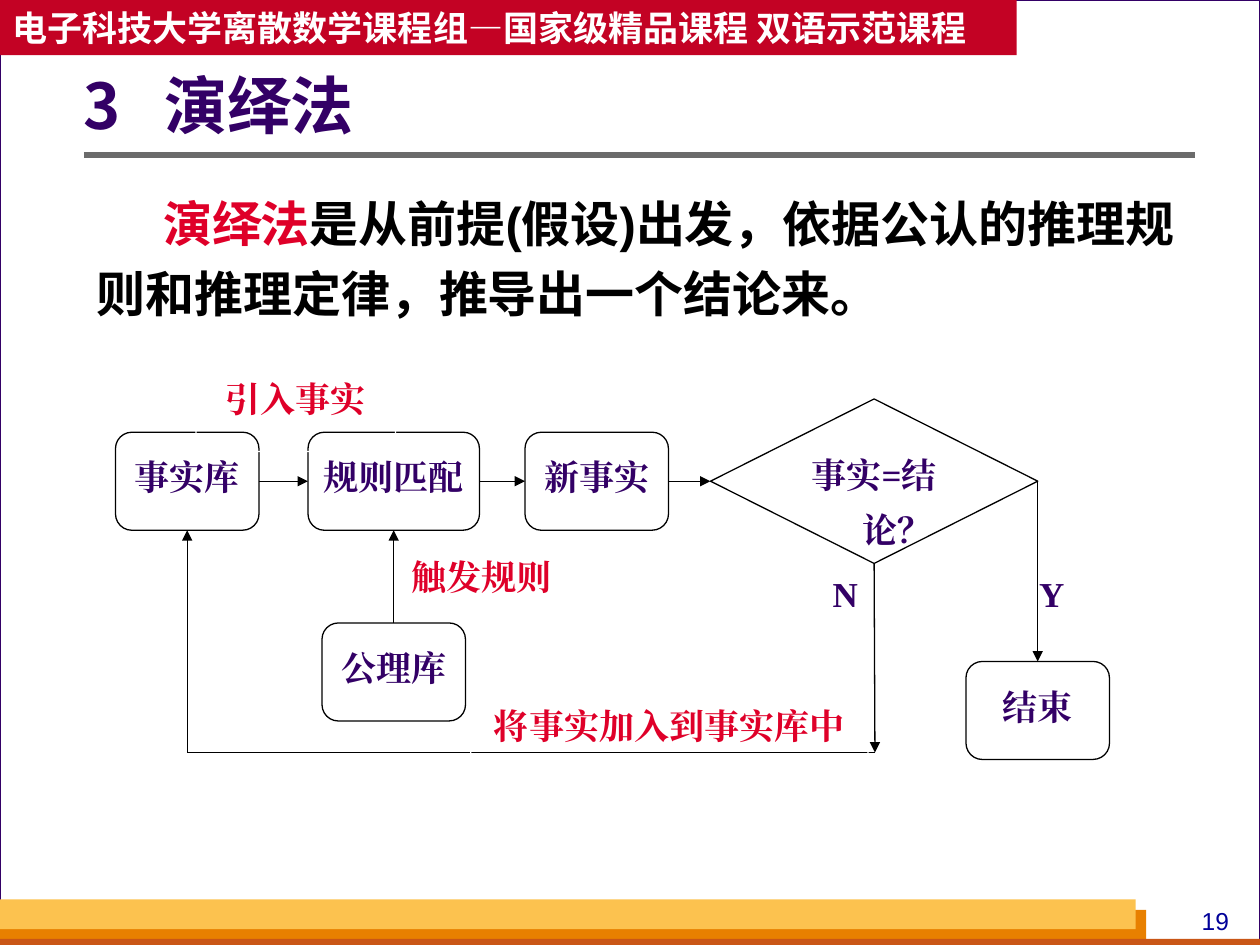
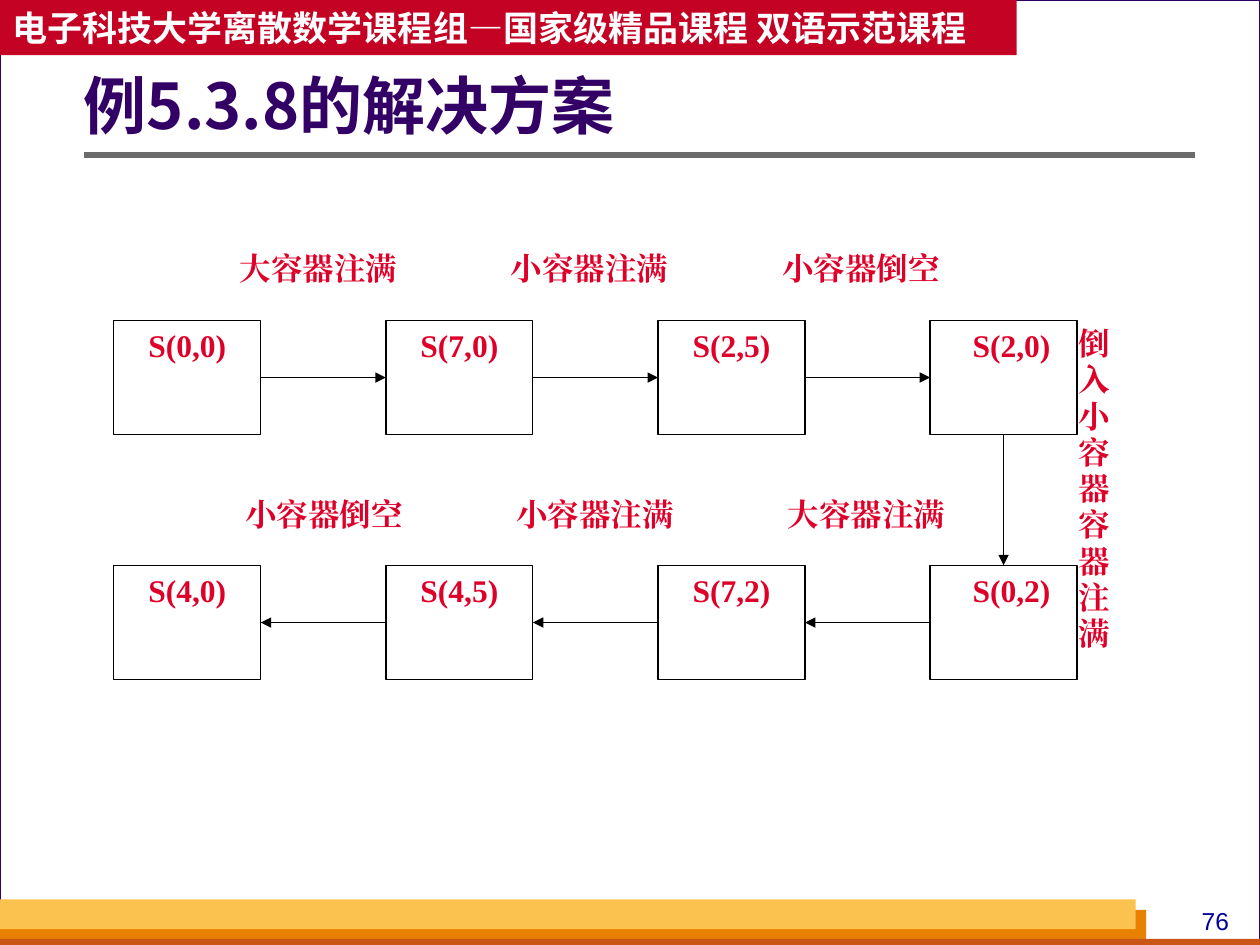
import pptx
import pptx.dml.color
import pptx.enum.shapes
import pptx.enum.text
import pptx.oxml.ns
import pptx.util
from lxml import etree

Pt = pptx.util.Pt
RGBColor = pptx.dml.color.RGBColor
Shape = pptx.enum.shapes.MSO_SHAPE
Anchor = pptx.enum.text.MSO_ANCHOR
Align = pptx.enum.text.PP_ALIGN
qn = pptx.oxml.ns.qn

WHITE = RGBColor(0xFF, 0xFF, 0xFF)
BLACK = RGBColor(0x00, 0x00, 0x00)
PURPLE = RGBColor(0x33, 0x00, 0x66)
RED = RGBColor(0xDF, 0x00, 0x29)
BANNER_RED = RGBColor(0xC3, 0x02, 0x24)
ORANGE = RGBColor(0xE8, 0x80, 0x00)
RUST = RGBColor(0xC9, 0x56, 0x16)
AMBER = RGBColor(0xFC, 0xC2, 0x4F)
GRAY = RGBColor(0x6B, 0x6B, 0x6B)
NAVY = RGBColor(0x00, 0x00, 0x99)
BACKGROUND = RGBColor(0xD8, 0xDA, 0xDA)

SANS = "Noto Sans CJK SC"
SERIF = "Times New Roman"
ARIAL = "Arial"
BANNER = "电子科技大学离散数学课程组—国家级精品课程 双语示范课程"
TOP, LEFT, BOTTOM, RIGHT = range(4)


class Deck:
    """Hold the shared style and draw elements on the current slide."""

    def __init__(self):
        self.presentation = pptx.Presentation()
        self.presentation.slide_width = Pt(720)
        self.presentation.slide_height = Pt(540)
        self.slide = None

    def start_slide(self, layout, title, number):
        self.slide = self.presentation.slides.add_slide(self.presentation.slide_layouts[layout])
        background = self.slide.background.fill
        background.solid()
        background.fore_color.rgb = BACKGROUND
        self.box((0, 0, 720, 540), fill=WHITE, outline=PURPLE)
        self.box((0, 520, 655, 20), fill=ORANGE)
        self.box((0, 536.5, 720, 3.5), fill=RUST)
        self.box((0, 514, 649, 17), fill=AMBER)
        self.text((672, 514, 45, 24), number, size=14, font=ARIAL, color=NAVY, bold=False)
        self.line((48, 88.5), (683, 88.5), color=GRAY, width=3, arrow=False)
        banner = self.box((0, 0, 581, 31.5), fill=BANNER_RED)
        banner.text_frame.text = BANNER
        banner.text_frame.vertical_anchor = Anchor.MIDDLE
        self.format(banner.text_frame, 20, SANS, WHITE, align=Align.LEFT)
        self.title(title)

    def placeholder(self, index, area):
        shape = self.slide.placeholders[index]
        self.slide.shapes._spTree.append(shape._element)
        shape.left, shape.top, shape.width, shape.height = map(Pt, area)
        shape.text_frame.auto_size = pptx.enum.text.MSO_AUTO_SIZE.NONE
        return shape.text_frame

    def title(self, text):
        frame = self.placeholder(0, (48, 26, 635, 73))
        frame.text = text
        frame.margin_left = 0
        frame.vertical_anchor = Anchor.MIDDLE
        properties = frame.paragraphs[0]._p.get_or_add_pPr()
        tabs = etree.SubElement(properties, qn("a:tabLst"))
        etree.SubElement(tabs, qn("a:tab"), pos=str(Pt(46)), algn="l")
        self.format(frame, 36, SANS, PURPLE, align=Align.LEFT, spacing=0.9)

    def body(self, pieces):
        frame = self.placeholder(1, (48, 100, 635, 91))
        paragraph = frame.paragraphs[0]
        for text, _ in pieces:
            paragraph.add_run().text = text
        properties = paragraph._p.get_or_add_pPr()
        properties.set("marL", "0")
        properties.set("indent", str(Pt(38)))
        etree.SubElement(properties, qn("a:buNone"))
        self.format(frame, 28, ARIAL, BLACK, align=Align.LEFT, spacing=1.2)
        for run, (_, color) in zip(paragraph.runs, pieces):
            run.font.color.rgb = color

    def format(self, frame, size, font, color, align=Align.CENTER, spacing=1.0, bold=True):
        for paragraph in frame.paragraphs:
            paragraph.alignment = align
            paragraph.line_spacing = spacing
            paragraph.space_before = Pt(0)
            for run in paragraph.runs:
                run.font.size = Pt(size)
                run.font.bold = bold
                run.font.color.rgb = color
                run.font.name = font
                etree.SubElement(run._r.get_or_add_rPr(), qn("a:ea"), typeface=font)

    def box(self, area, kind=Shape.RECTANGLE, fill=None, outline=None):
        shape = self.slide.shapes.add_shape(kind, *map(Pt, area))
        shape.shadow.inherit = False
        if fill is None:
            shape.fill.background()
        else:
            shape.fill.solid()
            shape.fill.fore_color.rgb = fill
        if outline is None:
            shape.line.fill.background()
        else:
            shape.line.color.rgb = outline
            shape.line.width = Pt(0.75)
        shape.text_frame.word_wrap = True
        shape.text_frame.vertical_anchor = Anchor.TOP
        return shape

    def text(self, area, text, size=18, font=SERIF, color=RED, spacing=1.0, bold=True):
        frame = self.slide.shapes.add_textbox(*map(Pt, area)).text_frame
        frame.word_wrap = True
        frame.text = text
        self.format(frame, size, font, color, spacing=spacing, bold=bold)

    def step(self, area, text, kind=Shape.FLOWCHART_ALTERNATE_PROCESS, fill=WHITE,
             outline=BLACK, color=PURPLE, margins=(7.2, 3.6)):
        shape = self.box(area, kind, fill, outline)
        frame = shape.text_frame
        frame.margin_left = frame.margin_right = Pt(margins[0])
        frame.margin_top = frame.margin_bottom = Pt(margins[1])
        frame.text = text
        properties = frame.paragraphs[0]._p.get_or_add_pPr()
        properties.set("marL", str(Pt(27)))
        properties.set("indent", str(Pt(-27)))
        self.format(frame, 20, SERIF, color, spacing=1.3)
        return shape

    def caption(self, area, text, fill=None, color=RED):
        self.step(area, text, fill=fill, outline=WHITE, color=color)

    def state(self, area, text, shift):
        shape = self.box(area, fill=WHITE, outline=BLACK)
        shape.text_frame.text = text
        shape.text_frame.margin_left = Pt(7.2 + shift)
        self.format(shape.text_frame, 18, SERIF, RED)
        return shape

    def line(self, start, end, color=BLACK, width=0.75, arrow=True):
        """Draw between points, or between (shape, side) pairs."""
        connector = self.slide.shapes.add_connector(
            pptx.enum.shapes.MSO_CONNECTOR.STRAIGHT, 0, 0, 0, 0)
        if isinstance(start[0], (int, float)):
            connector.begin_x, connector.begin_y = map(Pt, start)
        else:
            connector.begin_connect(*start)
        if isinstance(end[0], (int, float)):
            connector.end_x, connector.end_y = map(Pt, end)
        else:
            connector.end_connect(*end)
        connector.line.color.rgb = color
        connector.line.width = Pt(width)
        if arrow:
            etree.SubElement(connector.line._get_or_add_ln(), qn("a:tailEnd"), type="triangle")
        etree.SubElement(connector._element.spPr, qn("a:effectLst"))


def build_deduction(deck):
    """Draw the flow chart of the deductive method."""
    deck.start_slide(1, "3\t演绎法", "19")
    deck.body([("演绎法", RED),
               ("是从前提(假设)出发，依据公认的推理规则和推理定律，推导出一个结论来。", BLACK)])
    row, width, height = 247, 82, 56
    loop_left, loop_right, loop_bottom = 107, 500, 430

    deck.caption((585, 315, 32, height), "Y", WHITE, PURPLE)
    deck.caption((467, 315, 32, height), "N", WHITE, PURPLE)
    deck.caption((218, 304, 114, height), "触发规则", WHITE)
    new_fact = deck.step((300, row, width, height), "新事实")
    decision = deck.step((406, 228, 187, 94), "事实=结论？", Shape.FLOWCHART_DECISION,
                         margins=(1.4, 0.7))
    facts = deck.step((66, row, width, height), "事实库")
    matching = deck.step((176, row, 98, height), "规则匹配", margins=(4.3, 3.6))
    axioms = deck.step((184, 356, width, height), "公理库")
    finish = deck.step((552, 378, width, height), "结束")

    deck.line((facts, RIGHT), (matching, LEFT))
    deck.line((matching, RIGHT), (new_fact, LEFT))
    deck.line((new_fact, RIGHT), (decision, LEFT))
    deck.line((axioms, TOP), (matching, BOTTOM))
    deck.line((decision, RIGHT), (finish, TOP))
    deck.line((decision, BOTTOM), (loop_right, loop_bottom))
    deck.line((loop_right, loop_bottom), (loop_left, loop_bottom), arrow=False)
    deck.line((loop_left, loop_bottom), (facts, BOTTOM))
    deck.caption((269, 389, 227, height), "将事实加入到事实库中")
    deck.caption((112, 202, 114, height), "引入事实")


def build_solution(deck):
    """Draw the chain of container states."""
    deck.start_slide(5, "例5.3.8的解决方案", "76")
    rows = [
        (183, ["S(0,0)", "S(7,0)", "S(2,5)", "S(2,0)"],
         127, 140, ["大容器注满", "小容器注满", "小容器倒空"]),
        (323, ["S(4,0)", "S(4,5)", "S(7,2)", "S(0,2)"],
         130, 281, ["小容器倒空", "小容器注满", "大容器注满"]),
    ]
    chains = []
    for top, names, label_left, label_top, labels in rows:
        chains.append([deck.state((65 + 155.5 * column, top, 84, 65.5), name,
                                  9 if column == 3 else 0)
                       for column, name in enumerate(names)])
        for column, label in enumerate(labels):
            deck.text((label_left + 155 * column, label_top, 110, 58), label, spacing=0.96)

    upper, lower = chains
    for first, second in zip(upper, upper[1:]):
        deck.line((first, RIGHT), (second, LEFT))
    deck.line((upper[-1], BOTTOM), (lower[-1], TOP))
    for first, second in zip(lower, lower[1:]):
        deck.line((second, LEFT), (first, RIGHT))
    deck.text((607, 183, 36.7, 196), "倒入小容器容器\n注满", spacing=0.96)


def main():
    """Build both slides and save them."""
    deck = Deck()
    build_deduction(deck)
    build_solution(deck)
    deck.presentation.save("out.pptx")


if __name__ == "__main__":
    main()
